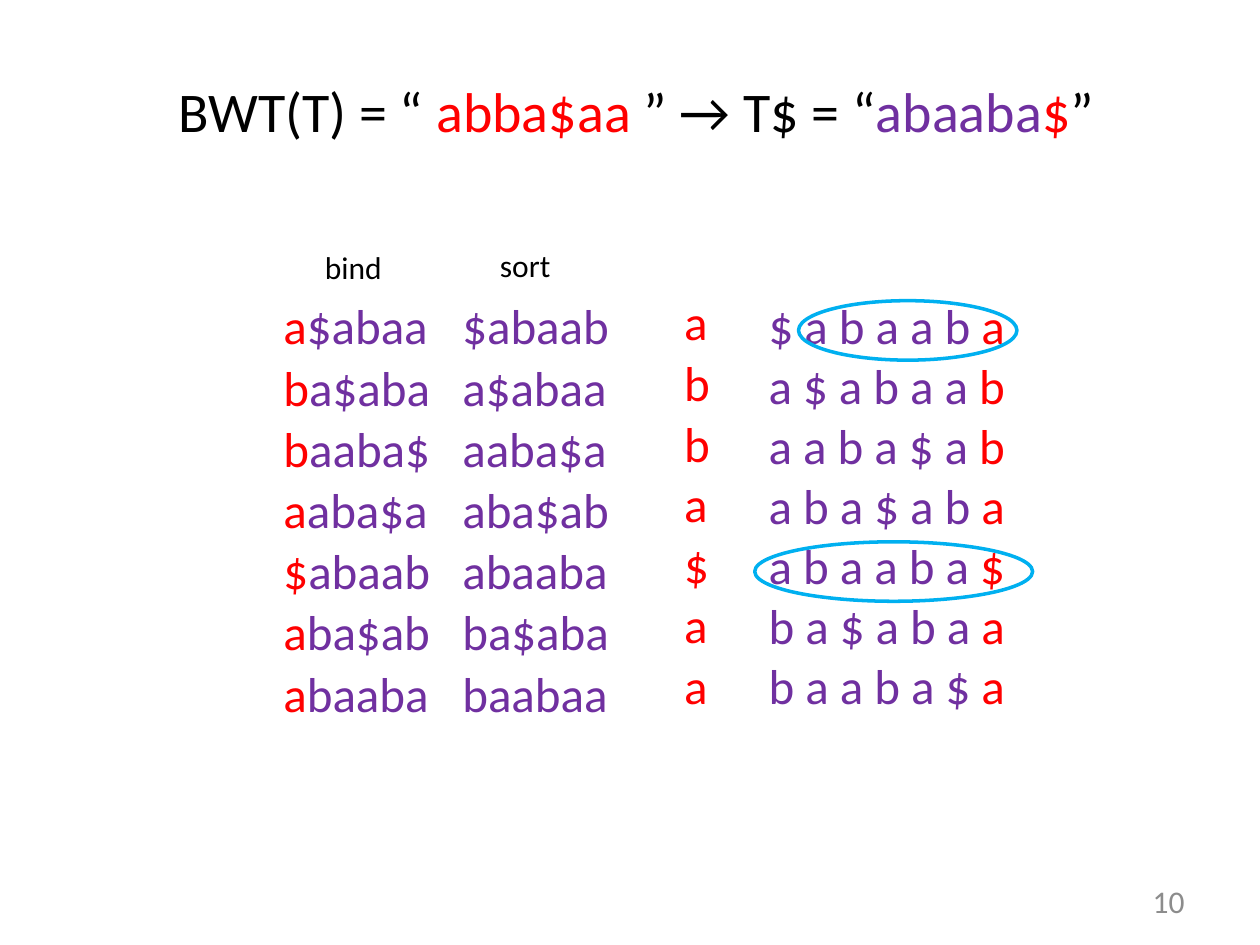
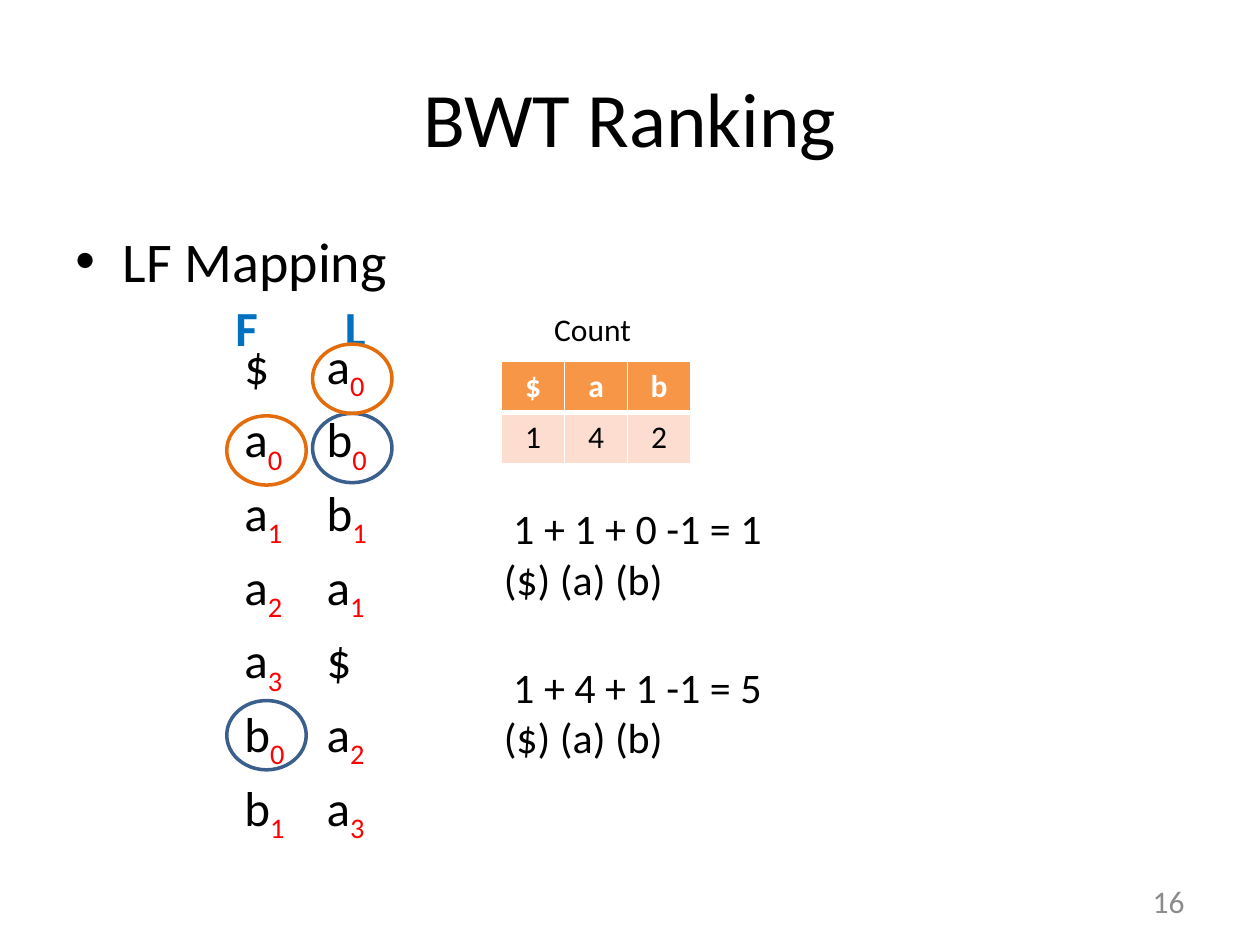
from dataclasses import dataclass

from lxml import etree
from pptx import Presentation
from pptx.dml.color import RGBColor
from pptx.enum import shapes, text
from pptx.oxml import ns
from pptx.util import Pt


# Theme: colours and type sizes
@dataclass(frozen=True)
class Theme:
    face: str = "Calibri"
    black: str = "000000"
    white: str = "FFFFFF"
    red: str = "FF0000"
    purple: str = "7030A0"
    grey: str = "8C8C8C"
    sky: str = "00B0F0"
    blue: str = "0070C0"
    navy: str = "3A5F8C"
    rust: str = "E46C0A"
    orange: str = "F79646"
    peach: str = "FCDDCF"
    title: int = 44
    head: int = 32
    row: int = 28
    sum: int = 24
    note: int = 18


T = Theme()
MID, TOP = text.MSO_ANCHOR.MIDDLE, text.MSO_ANCHOR.TOP
LEFT, CENTER, RIGHT = (text.PP_ALIGN.LEFT, text.PP_ALIGN.CENTER,
                       text.PP_ALIGN.RIGHT)

# Sorted rotations of the sample string
WORD = "abaaba$"
TURNS = sorted(WORD[i:] + WORD[:i] for i in range(len(WORD)))
SORTED = ["$abaab", "a$abaa", "aaba$a", "aba$ab", "abaaba", "ba$aba", "baabaa"]
FIRST = ["$", "a0", "a1", "a2", "a3", "b0", "b1"]
LAST = ["a0", "b0", "b1", "a1", "$", "a2", "a3"]


# Text: a run is (words, colour) or (words, colour, baseline)
def fill_para(para, runs, size, bold=False, align=LEFT):
    para.alignment = align
    for words, hue, *base in runs:
        run = para.add_run()
        run.text = words
        for key, val in dict(name=T.face, size=Pt(size), bold=bold).items():
            setattr(run.font, key, val)
        run.font.color.rgb = RGBColor.from_string(hue)
        if base:
            run._r.get_or_add_rPr().set("baseline", str(base[0]))


def add_text(slide, box, lines, size, bold=False, align=LEFT, anchor=TOP, wrap=True):
    frame = slide.shapes.add_textbox(*map(Pt, box)).text_frame
    frame.word_wrap, frame.vertical_anchor = wrap, anchor
    for i, runs in enumerate(lines):
        para = frame.add_paragraph() if i else frame.paragraphs[0]
        fill_para(para, runs, size, bold, align)
    return frame


def add_label(slide, box, words, size=T.note, hue=T.black, **style):
    return add_text(slide, box, [[(words, hue)]], size, **style)


def add_bullet(slide, box, words):
    para = add_text(slide, box, [[]], T.head).paragraphs[0]
    props = para._p.get_or_add_pPr()
    props.set("marL", str(Pt(27)))
    props.set("indent", str(-Pt(27)))
    font = etree.SubElement(props, ns.qn("a:buFont"))
    font.set("typeface", "Arial")
    etree.SubElement(props, ns.qn("a:buChar")).set("char", "•")
    fill_para(para, [(words, T.black)], T.head)


# Tables
def add_grid(slide, left, top, widths, height, count):
    grid = slide.shapes.add_table(count, len(widths), Pt(left), Pt(top),
                                  Pt(sum(widths)), Pt(height * count)).table
    grid.first_row = grid.horz_banding = False
    for col, width in zip(grid.columns, widths):
        col.width = Pt(width)
    for row in grid.rows:
        row.height = Pt(height)
    return grid


def add_column(slide, left, top, width, height, rows, tab=None):
    grid = add_grid(slide, left, top, [width], height, len(rows))
    form = dict(margin_left=Pt(0.7), margin_right=Pt(0.7), margin_top=0,
                margin_bottom=0, vertical_anchor=MID)
    for cell, runs in zip(grid.iter_cells(), rows):
        for key, val in form.items():
            setattr(cell, key, val)
        cell.fill.background()
        para = cell.text_frame.paragraphs[0]
        if tab:
            stops = etree.SubElement(para._p.get_or_add_pPr(), ns.qn("a:tabLst"))
            stop = etree.SubElement(stops, ns.qn("a:tab"))
            stop.set("pos", str(Pt(tab)))
            stop.set("algn", "l")
        fill_para(para, runs, T.row)


def add_edges(cell, **widths):
    props = cell._tc.get_or_add_tcPr()
    for i, (side, width) in enumerate(widths.items()):
        line = etree.Element(ns.qn("a:ln" + side), w=str(Pt(width)))
        paint = etree.SubElement(line, ns.qn("a:solidFill"))
        etree.SubElement(paint, ns.qn("a:srgbClr")).set("val", T.white)
        props.insert(i, line)


def add_counts(slide, left, top, rows):
    grid = add_grid(slide, left, top, [36] * len(rows[0]), 29.2, len(rows))
    for r, row in enumerate(rows):
        head = r == 0
        for c, words in enumerate(row):
            cell = grid.cell(r, c)
            cell.fill.solid()
            cell.fill.fore_color.rgb = RGBColor.from_string(
                T.orange if head else T.peach)
            add_edges(cell, L=1, R=1, T=1 if head else 3, B=3 if head else 1)
            fill_para(cell.text_frame.paragraphs[0],
                      [(words, T.white if head else T.black)],
                      T.note, head, CENTER)


# Rings around chosen entries
def add_ring(slide, box, hue):
    ring = slide.shapes.add_shape(shapes.MSO_SHAPE.OVAL, *map(Pt, box))
    ring.shadow.inherit = False
    ring.fill.background()
    ring.line.color.rgb = RGBColor.from_string(hue)
    ring.line.width = Pt(2)


# Parts every slide has
def add_page(deck, runs, size, top, number):
    slide = deck.slides.add_slide(deck.slide_layouts[6])
    add_text(slide, (36, top, 648, 90), [runs], size, align=CENTER, anchor=MID)
    add_label(slide, (516, 500.5, 168, 28.8), str(number), hue=T.grey,
              align=RIGHT, anchor=MID)
    return slide


def add_inverse(deck):
    runs = [(" BWT(T) = “ ", T.black), ("abba$aa ", T.red),
            ("” → T$ = “", T.black), ("abaaba", T.purple),
            ("$", T.red), ("”", T.black)]
    slide = add_page(deck, runs, T.head, 18, 10)
    add_label(slide, (178.6, 138.4, 47.5, 29), "bind", wrap=False)
    add_label(slide, (278.6, 137.3, 57, 29), "sort")

    # Bind, sort, last column and full rotations
    bind = [[(t[-1], T.red), (t[:5], T.purple)] for t in TURNS]
    order = [[(s, T.purple)] for s in SORTED]
    ends = [[(t[-1], T.red)] for t in TURNS]
    full = [[(" ".join(t[:-1]) + " ", T.purple), (t[-1], T.red)] for t in TURNS]
    add_column(slide, 161.3, 170, 96.5, 35, bind)
    add_column(slide, 263.5, 170, 96.5, 35, order)
    add_column(slide, 438.5, 170, 142.5, 34.3, full)
    add_column(slide, 390.2, 168, 18.7, 34.6, ends)
    add_ring(slide, (431.3, 309.6, 158.8, 34), T.sky)
    add_ring(slide, (456.3, 171.8, 124.8, 34), T.sky)


def ranked(name):
    return [(name[0], T.black)] + [(n, T.red, -25000) for n in name[1:]]


def add_ranking(deck):
    slide = add_page(deck, [("BWT Ranking", T.black)], T.title, 21.6, 16)
    add_bullet(slide, (36, 126, 648, 356), "LF Mapping")

    # First and last columns with ranks
    rows = [ranked(f) + [("\t", T.black)] + ranked(l)
            for f, l in zip(FIRST, LAST)]
    add_column(slide, 139, 190.8, 108, 42.1, rows, tab=47)
    for words, left, width in (("F", 127.4, 25.2), ("L", 190, 33.8)):
        add_label(slide, (left, 166.3, width, 41), words, T.row, T.blue, bold=True)

    # Letter counts and worked sums
    add_label(slide, (309.6, 173.5, 79.2, 29), "Count")
    add_counts(slide, 286.6, 206.6, [["$", "a", "b"], ["1", "4", "2"]])
    for top, words in ((283.7, " 1 + 1 + 0 -1 = 1"), (374.4, " 1 + 4 + 1 -1 = 5")):
        add_text(slide, (280.8, top, 162.7, 65.5),
                 [[(words, T.black)], [("($) (a) (b)", T.black)]],
                 T.sum, wrap=False)

    # Matching pairs
    for left, top, hue in ((178.6, 236.2, T.navy), (129.6, 400.3, T.navy),
                           (129.6, 237.6, T.rust), (178.6, 196.6, T.rust)):
        add_ring(slide, (left, top, 45.4, 39.6), hue)


def main():
    deck = Presentation()
    deck.slide_width, deck.slide_height = Pt(720), Pt(540)
    add_inverse(deck)
    add_ranking(deck)
    deck.save("out.pptx")


if __name__ == "__main__":
    main()
